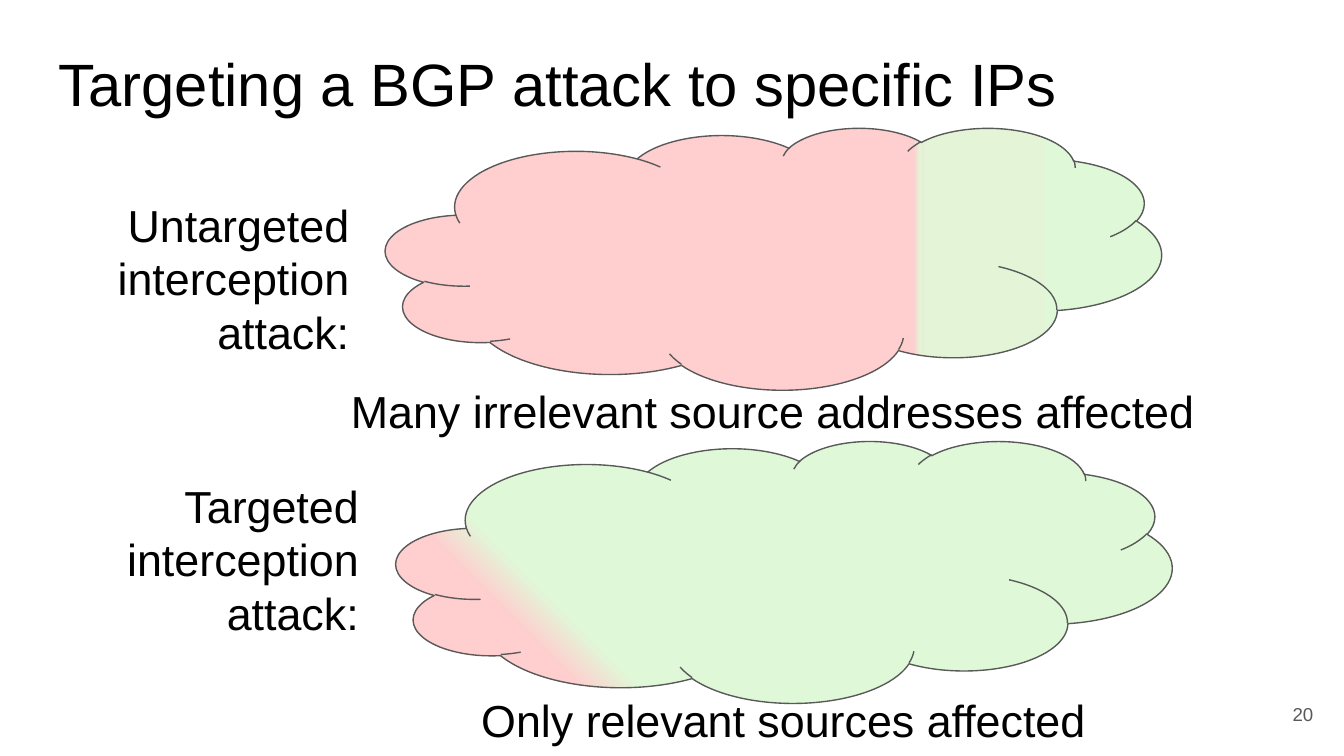
"""Build a slide comparing untargeted and targeted BGP interception attacks."""
from lxml.etree import SubElement
from pptx import Presentation
from pptx.dml.color import RGBColor
from pptx.enum.shapes import MSO_SHAPE as Shape
from pptx.enum.text import MSO_ANCHOR as Anchor, PP_ALIGN as Align
from pptx.oxml.ns import qn
from pptx.util import Cm, Pt


def rgb(value):
    return RGBColor.from_string(value)


def add_text(text, box, size=24, colour="000000", align=Align.LEFT, anchor=Anchor.TOP):
    frame = slide.shapes.add_textbox(*map(Cm, box)).text_frame
    inset = Cm(0.25)
    frame_format = {
        "word_wrap": True, "vertical_anchor": anchor,
        "margin_left": inset, "margin_right": inset,
        "margin_top": inset, "margin_bottom": inset,
    }
    for key, value in frame_format.items():
        setattr(frame, key, value)
    paragraph = frame.paragraphs[0]
    paragraph.alignment = align
    run = paragraph.add_run()
    run.text = text
    for key, value in {"name": "Arial", "size": Pt(size)}.items():
        setattr(run.font, key, value)
    run.font.color.rgb = rgb(colour)


deck = Presentation()
deck.slide_width, deck.slide_height = Cm(25.4), Cm(14.29)
slide = deck.slides.add_slide(deck.slide_layouts[6])

add_text("Targeting a BGP attack to specific IPs", (0.86, 0.64, 23.67, 1.6), size=32)
add_text("20", (23.55, 12.95, 1.52, 1.09), 10, "595959", Align.RIGHT, Anchor.MIDDLE)

attacks = [
    {
        "label": ("Untargeted interception attack:", (1.9, 3.48, 4.95, 4.06)),
        "cloud": (7.29, 2.41, 14.66, 4.95),
        "stops": [(0, "FFCECE"), (68, "FFCECE"), (69, "E1F7D8"), (69, "E7EFD6"),
                  (70, "E3F4D7"), (100, "DFF9D8"), (100, "737373")],
        "radial": False,
        "caption": ("Many irrelevant source addresses affected", (5.89, 7.01, 17.42, 1.35)),
    },
    {
        "label": ("Targeted interception attack:", (2.08, 8.79, 4.95, 4.06)),
        "cloud": (7.49, 8.33, 14.66, 4.95),
        "stops": [(0, "FFCECE"), (19, "FFCECE"), (25, "E1F7D8"),
                  (100, "DFF9D8"), (100, "737373")],
        "radial": True,
        "caption": ("Only relevant sources affected", (6.73, 12.85, 16.15, 4.06)),
    },
]

for attack in attacks:
    add_text(*attack["label"], align=Align.RIGHT)

    cloud = slide.shapes.add_shape(Shape.CLOUD, *map(Cm, attack["cloud"]))
    cloud.shadow.inherit = False
    cloud.line.color.rgb = rgb("595959")
    cloud.line.width = Pt(0.75)
    cloud.fill.gradient()
    gradient = cloud.element.spPr.find(qn("a:gradFill"))
    for child in list(gradient):
        gradient.remove(child)
    stop_list = SubElement(gradient, qn("a:gsLst"))
    for percent, colour in attack["stops"]:
        stop = SubElement(stop_list, qn("a:gs"), pos=str(percent * 1000))
        SubElement(stop, qn("a:srgbClr"), val=str(rgb(colour)))
    if attack["radial"]:
        circle = SubElement(gradient, qn("a:path"), path="circle")
        SubElement(circle, qn("a:fillToRect"), l="0", t="100000", r="100000", b="0")
    else:
        SubElement(gradient, qn("a:lin"), ang="0", scaled="0")

    add_text(*attack["caption"], align=Align.CENTER)

deck.save("out.pptx")
